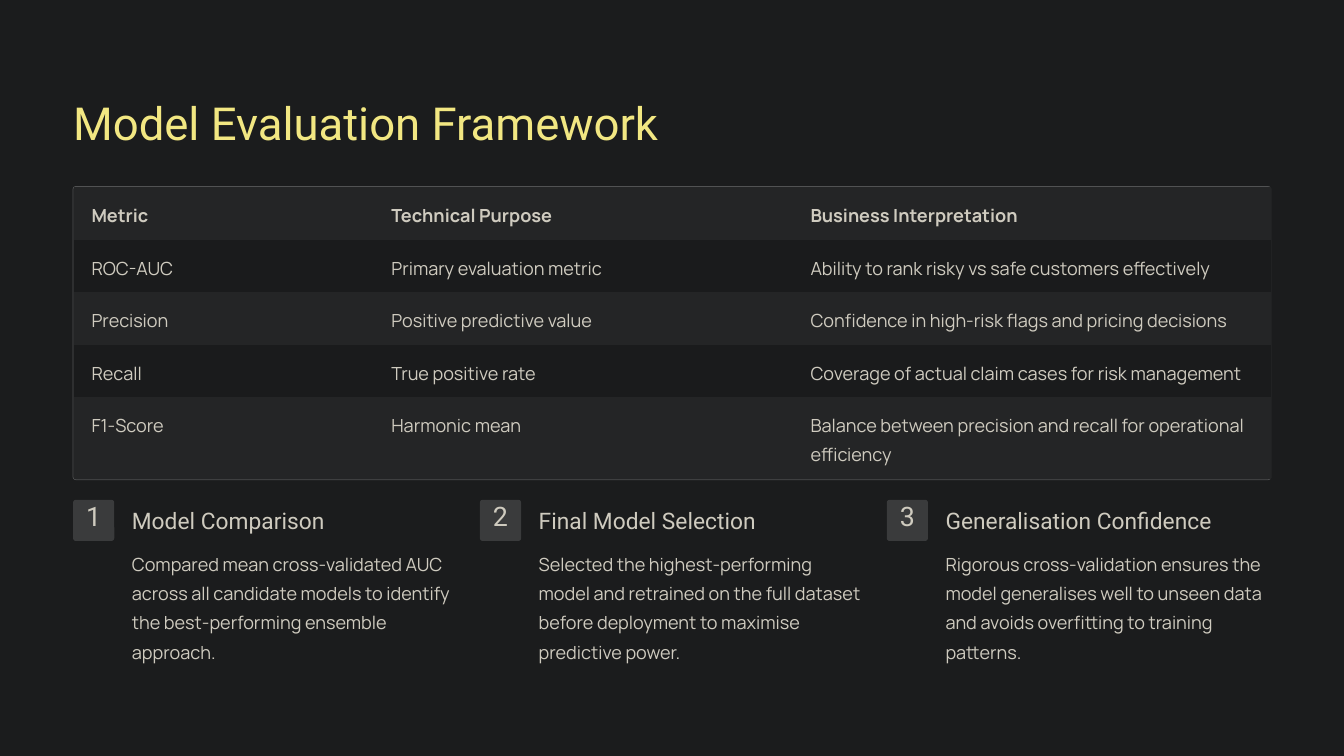
from lxml.etree import SubElement
from pptx import Presentation
from pptx.dml.color import RGBColor
from pptx.enum.shapes import MSO_SHAPE
from pptx.enum.text import MSO_ANCHOR, MSO_AUTO_SIZE, PP_ALIGN
from pptx.oxml.ns import qn
from pptx.util import Inches, Pt

BACKGROUND = RGBColor(0x1B, 0x1C, 0x1D)
YELLOW = RGBColor(0xF2, 0xE7, 0x82)
SAND = RGBColor(0xCF, 0xCB, 0xBF)
LIGHT_ROW = RGBColor(0x24, 0x25, 0x26)
DARK_ROW = RGBColor(0x1A, 0x1B, 0x1C)
BORDER = RGBColor(0xFF, 0xFF, 0xFF)
BADGE = RGBColor(0x3A, 0x3B, 0x3C)

TITLE = {"name": "Roboto", "size": Pt(39), "bold": False}
HEADING = {"name": "Roboto", "size": Pt(19.5), "bold": False}
NUMBER = {"name": "Roboto", "size": Pt(23), "bold": False}
BODY = {"name": "Manrope", "size": Pt(15.5), "bold": False}
HEADER = {**BODY, "bold": True}

NO_STYLE = "{2D5ABB26-0587-4C30-8999-92F81FD0307C}"
LEFT, WIDTH = 0.87, 14.26
COLUMN_WIDTHS = [3.57, 4.99, 5.69]
ROW_HEIGHTS = [0.625] * 4 + [0.97]

METRICS = [
    ("Metric", "Technical Purpose", "Business Interpretation"),
    ("ROC-AUC", "Primary evaluation metric",
     "Ability to rank risky vs safe customers effectively"),
    ("Precision", "Positive predictive value",
     "Confidence in high-risk flags and pricing decisions"),
    ("Recall", "True positive rate",
     "Coverage of actual claim cases for risk management"),
    ("F1-Score", "Harmonic mean",
     "Balance between precision and recall for operational efficiency"),
]

STEPS = [
    ("Model Comparison",
     "Compared mean cross-validated AUC across all candidate models to "
     "identify the best-performing ensemble approach."),
    ("Final Model Selection",
     "Selected the highest-performing model and retrained on the full dataset "
     "before deployment to maximise predictive power."),
    ("Generalisation Confidence",
     "Rigorous cross-validation ensures the model generalises well to unseen "
     "data and avoids overfitting to training patterns."),
]


def write(frame, text, style, line_points, color=SAND,
          align=PP_ALIGN.LEFT, wrap=True, top_margin=0):
    """Fill a text frame with one formatted paragraph."""
    settings = {"margin_left": 0, "margin_right": 0, "margin_bottom": 0,
                "margin_top": Inches(top_margin), "word_wrap": wrap,
                "auto_size": MSO_AUTO_SIZE.NONE,
                "vertical_anchor": MSO_ANCHOR.TOP}
    for name, value in settings.items():
        setattr(frame, name, value)
    write_paragraph(frame.paragraphs[0], text, style, line_points, color, align)


def write_paragraph(paragraph, text, style, line_points, color=SAND,
                    align=PP_ALIGN.LEFT):
    """Set the text, spacing and font of a paragraph."""
    paragraph.text = text
    paragraph.alignment = align
    paragraph.line_spacing = Pt(line_points)
    font = paragraph.runs[0].font
    for name, value in style.items():
        setattr(font, name, value)
    font.color.rgb = color


def add_rounded(slide, left, top, width, height, radius):
    """Add a rounded rectangle without a shadow."""
    shape = slide.shapes.add_shape(
        MSO_SHAPE.ROUNDED_RECTANGLE,
        Inches(left), Inches(top), Inches(width), Inches(height))
    shape.adjustments[0] = radius
    shape.shadow.inherit = False
    return shape


def add_text(slide, left, top, width, height, text, style, line_points, wrap=True):
    """Add a text box in the sand colour."""
    box = slide.shapes.add_textbox(
        Inches(left), Inches(top), Inches(width), Inches(height))
    write(box.text_frame, text, style, line_points, wrap=wrap)


def add_title(slide, left, top, width, height):
    """Place and format the slide title."""
    title = slide.shapes.title
    title.left, title.top = Inches(left), Inches(top)
    title.width, title.height = Inches(width), Inches(height)
    write(title.text_frame, "Model Evaluation Framework", TITLE, 48.5, YELLOW,
          wrap=False)


def add_metrics(slide, left, top, width, height):
    """Place the metrics table inside a thin rounded frame."""
    frame = add_rounded(slide, left, top, width, height, 0.009)
    frame.fill.background()
    frame.line.color.rgb = BORDER
    frame.line.width = Pt(0.6)
    color = frame.line.fill._xPr.find(".//" + qn("a:srgbClr"))
    SubElement(color, qn("a:alpha"), val="24000")

    graphic = slide.shapes.add_table(
        len(METRICS), len(COLUMN_WIDTHS), Inches(left + 0.01), Inches(top + 0.01),
        Inches(sum(COLUMN_WIDTHS)), Inches(sum(ROW_HEIGHTS)))
    table = graphic.table
    table.horz_banding = False
    table._tbl.tblPr.find(qn("a:tableStyleId")).text = NO_STYLE
    for column, column_width in zip(table.columns, COLUMN_WIDTHS):
        column.width = Inches(column_width)
    cell_settings = {"margin_left": Inches(0.21), "margin_right": Inches(0.21),
                     "margin_top": Inches(0.14), "margin_bottom": 0,
                     "vertical_anchor": MSO_ANCHOR.TOP}
    for index, (row, texts) in enumerate(zip(table.rows, METRICS)):
        row.height = Inches(ROW_HEIGHTS[index])
        for cell, text in zip(row.cells, texts):
            for name, value in cell_settings.items():
                setattr(cell, name, value)
            cell.fill.solid()
            cell.fill.fore_color.rgb = DARK_ROW if index % 2 else LIGHT_ROW
            write_paragraph(cell.text_frame.paragraphs[0], text,
                            BODY if index else HEADER, 25)


def add_step(slide, left, top, width, number, heading, text):
    """Place a numbered badge with its heading and description."""
    badge = add_rounded(slide, left, top, 0.49, 0.49, 0.067)
    badge.fill.solid()
    badge.fill.fore_color.rgb = BADGE
    badge.line.fill.background()
    write(badge.text_frame, str(number), NUMBER, 23, align=PP_ALIGN.CENTER,
          wrap=True, top_margin=0.05)
    indent = 0.7
    add_text(slide, left + indent, top + 0.08, width - indent, 0.34,
             heading, HEADING, 24, wrap=False)
    add_text(slide, left + indent, top + 0.55, width - indent, 1.39,
             text, BODY, 25)


def add_steps(slide, left, top, width, gap):
    """Place the steps side by side with equal gaps."""
    step_width = (width - gap * (len(STEPS) - 1)) / len(STEPS)
    for index, (heading, text) in enumerate(STEPS):
        add_step(slide, left + index * (step_width + gap), top, step_width,
                 index + 1, heading, text)


def main():
    """Build and save the presentation."""
    presentation = Presentation()
    presentation.slide_width, presentation.slide_height = Inches(16), Inches(9)
    slide = presentation.slides.add_slide(presentation.slide_layouts[5])
    slide.background.fill.solid()
    slide.background.fill.fore_color.rgb = BACKGROUND
    add_title(slide, LEFT, 1.11, 7.77, 0.68)
    add_metrics(slide, LEFT, 2.22, WIDTH, 3.49)
    add_steps(slide, LEFT, 5.95, WIDTH, 0.27)
    presentation.save("out.pptx")


if __name__ == "__main__":
    main()
